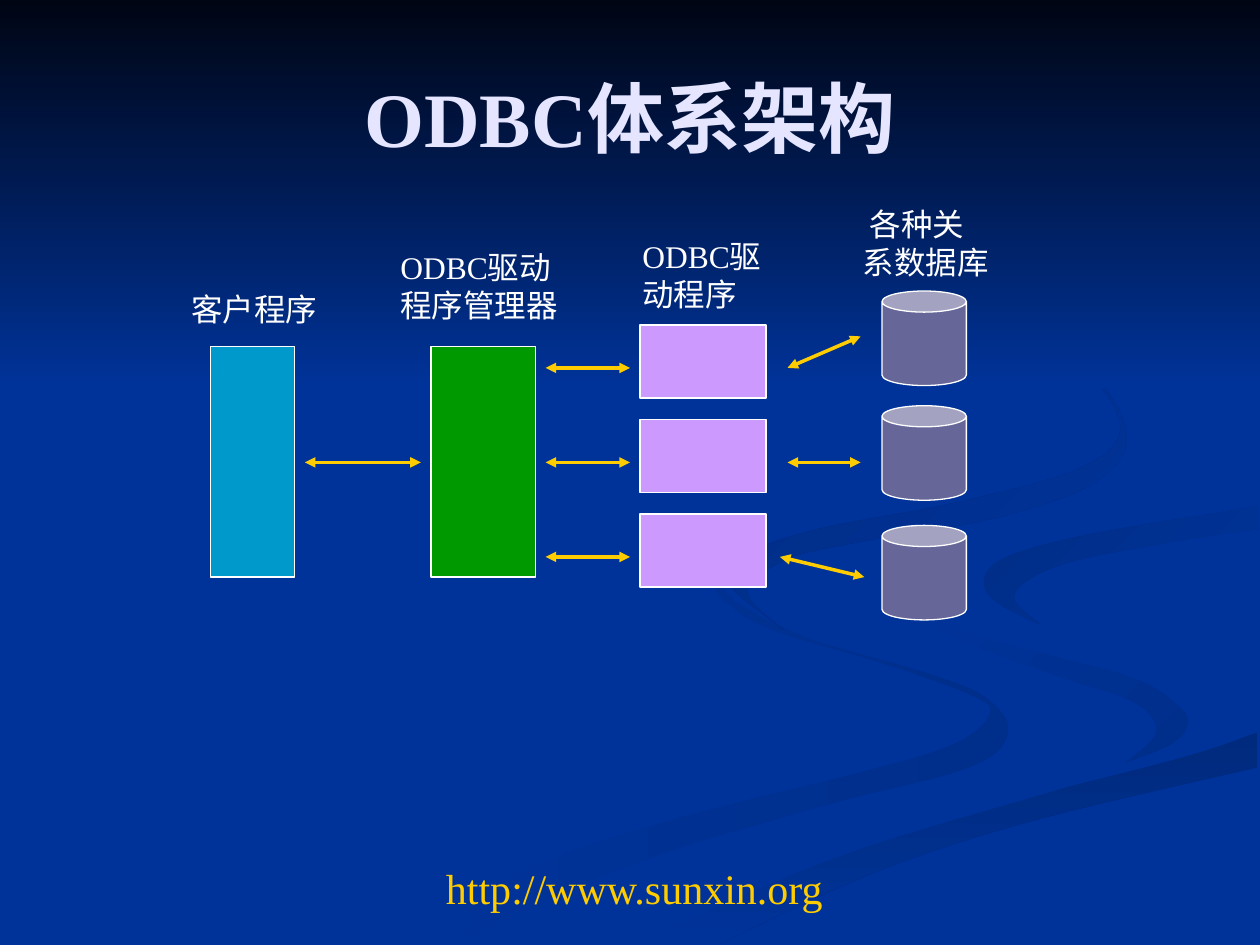
from dataclasses import dataclass
from itertools import chain

from lxml import etree
from pptx import Presentation
from pptx.dml.color import RGBColor
from pptx.enum.shapes import MSO_CONNECTOR, MSO_SHAPE
from pptx.enum.text import MSO_ANCHOR, PP_ALIGN
from pptx.oxml.ns import qn
from pptx.util import Inches, Pt

RECTANGLE = MSO_SHAPE.RECTANGLE
CAN = MSO_SHAPE.CAN
STRAIGHT = MSO_CONNECTOR.STRAIGHT
LEFT = PP_ALIGN.LEFT
CENTER = PP_ALIGN.CENTER
TOP = MSO_ANCHOR.TOP
MIDDLE = MSO_ANCHOR.MIDDLE


@dataclass(frozen=True)
class Theme:
    font: str = "Times New Roman"
    background: str = "003399"
    night: str = "000514"
    lower_shade: str = "002E8B"
    bank_shade: str = "002A7D"
    inlet_shade: str = "002D86"
    upper_shade: str = "002B82"
    title: str = "E5E5FF"
    text: str = "FFFFFF"
    accent: str = "FFCC00"
    client: str = "0099CC"
    manager: str = "009900"
    driver: str = "CC99FF"
    database: str = "666699"
    title_size: int = 44
    label_size: int = 18
    link_size: int = 24
    outline: float = 0.75
    arrow: float = 2


THEME = Theme()
CURVE_STEPS = 6

SLIDE_WIDTH, SLIDE_HEIGHT = 10, 7.5
SKY_HEIGHT = 3.08
TOWER_TOP, TOWER_HEIGHT = 2.75, 1.83
CLIENT_LEFT, CLIENT_WIDTH = 1.67, 0.67
MANAGER_LEFT, MANAGER_WIDTH = 3.42, 0.83
DRIVER_LEFT, DRIVER_TOP, DRIVER_WIDTH, DRIVER_HEIGHT = 5.08, 2.58, 1, 0.58
DATABASE_LEFT, DATABASE_WIDTH, DATABASE_HEIGHT = 7, 0.67, 0.75
ROW_PITCH = 0.75
FIRST_ARROW_Y = 2.92
ARROW_GAP = 0.08

DATABASE_TOPS = (2.31, 3.22, 4.17)
DATABASE_ARROWS = (
    (6.25, 2.92, 6.83, 2.67),
    (6.25, 3.67, 6.83, 3.67),
    (6.19, 4.42, 6.86, 4.58),
)
LABELS = (
    ("客户程序", 1.42, 2.25, 1.33, 0.4),
    ("ODBC驱动程序管理器", 3.08, 1.92, 1.58, 0.7),
    ("ODBC驱动程序", 5, 1.83, 1.33, 0.7),
    (" 各种关系数据库", 6.75, 1.58, 1.25, 0.7),
)

LOWER_STREAM = (
    ((3, 7.49), (4.17, 6.9), (5.39, 6.49), (6.84, 6.13), (7.59, 5.9), (7.86, 5.66),
     (7.7, 5.51), (6.97, 5.25), (6.11, 4.99), (5.7, 4.72), (5.75, 4.59)),
    ((5.75, 4.59), (5.83, 4.77), (6.42, 5.07), (7.31, 5.33), (7.81, 5.53), (8, 5.81),
     (7.69, 6.09), (6.51, 6.4), (4.99, 6.87), (3.61, 7.49)),
)
EAST_BEND = (
    ((7.24, 4.64), (7.58, 4.98), (8.3, 5.19), (9.05, 5.4), (9.43, 5.7), (9.32, 5.89),
     (8.94, 6.05)),
    ((8.94, 6.05), (9.18, 5.81), (9, 5.57), (8.38, 5.36), (7.46, 5), (7.24, 4.64)),
)
SOUTH_BANK = (
    ((5.03, 7.49), (6.3, 6.93), (7.64, 6.47), (9.36, 6.02), (9.98, 5.81)),
    ((9.98, 6.09), (8.21, 6.51), (6.95, 6.92), (5.71, 7.49)),
)
MAIN_STREAM = (
    ((9.99, 3.87), (8.51, 4.11), (7.55, 4.32), (7.25, 4.64), (7.59, 4.98), (8.31, 5.19),
     (9.05, 5.4), (9.43, 5.7), (9.11, 6), (7.8, 6.34), (6.19, 6.84), (4.77, 7.49)),
    ((5.03, 7.49), (6.62, 6.81), (8.32, 6.29), (9.99, 5.81)),
    ((9.99, 5.38), (8.48, 5.03), (7.81, 4.63), (8.5, 4.27), (9.99, 4.02)),
)
EAST_INLET = (
    ((9.98, 4.02), (8.65, 4.24), (7.99, 4.42), (7.81, 4.6), (7.91, 4.78), (8.26, 4.96)),
    ((8.26, 4.96), (8.05, 4.72), (8.43, 4.48), (9.36, 4.29), (9.98, 4.2)),
)
UPPER_STREAM = (
    ((7.62, 2.33), (8.46, 2.79), (8.89, 3.35), (8.61, 3.7), (7.63, 3.98), (6.49, 4.2),
     (5.89, 4.41), (5.77, 4.62), (6.22, 5)),
    ((6.22, 5), (5.93, 4.7), (6.24, 4.44), (6.83, 4.3), (7.86, 4.12), (8.67, 3.84),
     (8.94, 3.44), (8.54, 2.83), (7.62, 2.33)),
)
STREAMS = (
    (LOWER_STREAM, THEME.background, THEME.lower_shade, 0),
    (EAST_BEND, THEME.background, THEME.lower_shade, 45),
    (SOUTH_BANK, THEME.bank_shade, THEME.background, 90),
    (MAIN_STREAM, THEME.background, THEME.background, 0),
    (EAST_INLET, THEME.inlet_shade, THEME.background, 45),
    (UPPER_STREAM, THEME.upper_shade, THEME.background, 45),
)


def color(code):
    return RGBColor.from_string(code)


def catmull_rom(before, start, end, after, t):
    return 0.5 * (2 * start + (end - before) * t
                  + (2 * before - 5 * start + 4 * end - after) * t ** 2
                  + (3 * start - before - 3 * end + after) * t ** 3)


def smooth(bank):
    padded = (bank[0], *bank, bank[-1])
    curve = []
    for knots in zip(padded, padded[1:], padded[2:], padded[3:]):
        for step in range(CURVE_STEPS):
            curve.append(tuple(catmull_rom(*axis, step / CURVE_STEPS) for axis in zip(*knots)))
    return curve + [bank[-1]]


def paint(shape, start, end, clockwise):
    shape.shadow.inherit = False
    shape.line.fill.background()
    if start == end:
        shape.fill.solid()
        shape.fill.fore_color.rgb = color(start)
        return
    shape.fill.gradient()
    shape.fill.gradient_angle = (360 - clockwise) % 360
    for stop, code, position in zip(shape.fill.gradient_stops, (start, end), (0, 1)):
        stop.color.rgb = color(code)
        stop.position = position


def add_stream(slide, banks, start, end, clockwise):
    outline = chain.from_iterable(smooth(bank) for bank in banks)
    points = [(Inches(x), Inches(y)) for x, y in outline]
    builder = slide.shapes.build_freeform(*points[0])
    builder.add_line_segments(points[1:], close=True)
    paint(builder.convert_to_shape(), start, end, clockwise)


def add_node(slide, kind, left, top, width, height, fill):
    node = slide.shapes.add_shape(kind, Inches(left), Inches(top), Inches(width), Inches(height))
    node.shadow.inherit = False
    node.fill.solid()
    node.fill.fore_color.rgb = color(fill)
    node.line.color.rgb = color(THEME.text)
    node.line.width = Pt(THEME.outline)


def add_text(slide, words, left, top, width, height, size=THEME.label_size,
             ink=THEME.text, align=LEFT, anchor=TOP, bold=False):
    box = slide.shapes.add_textbox(Inches(left), Inches(top), Inches(width), Inches(height))
    frame = box.text_frame
    frame.word_wrap = True
    frame.vertical_anchor = anchor
    frame.paragraphs[0].alignment = align
    run = frame.paragraphs[0].add_run()
    run.text = words
    run.font.name = THEME.font
    run.font.size = Pt(size)
    run.font.bold = bold
    run.font.color.rgb = color(ink)


def add_double_arrow(slide, x1, y1, x2, y2):
    arrow = slide.shapes.add_connector(STRAIGHT, Inches(x1), Inches(y1), Inches(x2), Inches(y2))
    arrow.line.color.rgb = color(THEME.accent)
    arrow.line.width = Pt(THEME.arrow)
    line = arrow.line._get_or_add_ln()
    for end in ("a:headEnd", "a:tailEnd"):
        etree.SubElement(line, qn(end), type="triangle")
    etree.SubElement(arrow._element.spPr, qn("a:effectLst"))


def add_level_arrow(slide, left_edge, right_edge, y):
    add_double_arrow(slide, left_edge + ARROW_GAP, y, right_edge - ARROW_GAP, y)


def add_backdrop(slide):
    slide.background.fill.solid()
    slide.background.fill.fore_color.rgb = color(THEME.background)
    for stream in STREAMS:
        add_stream(slide, *stream)
    sky = slide.shapes.add_shape(RECTANGLE, 0, 0, Inches(SLIDE_WIDTH), Inches(SKY_HEIGHT))
    paint(sky, THEME.night, THEME.background, 90)


def add_architecture(slide):
    client_right = CLIENT_LEFT + CLIENT_WIDTH
    manager_right = MANAGER_LEFT + MANAGER_WIDTH
    add_node(slide, RECTANGLE, CLIENT_LEFT, TOWER_TOP, CLIENT_WIDTH, TOWER_HEIGHT, THEME.client)
    add_node(slide, RECTANGLE, MANAGER_LEFT, TOWER_TOP, MANAGER_WIDTH, TOWER_HEIGHT, THEME.manager)
    add_level_arrow(slide, client_right, MANAGER_LEFT, FIRST_ARROW_Y + ROW_PITCH)
    for row, (database_top, database_arrow) in enumerate(zip(DATABASE_TOPS, DATABASE_ARROWS)):
        drop = row * ROW_PITCH
        add_node(slide, RECTANGLE, DRIVER_LEFT, DRIVER_TOP + drop, DRIVER_WIDTH, DRIVER_HEIGHT,
                 THEME.driver)
        add_node(slide, CAN, DATABASE_LEFT, database_top, DATABASE_WIDTH, DATABASE_HEIGHT,
                 THEME.database)
        add_level_arrow(slide, manager_right, DRIVER_LEFT, FIRST_ARROW_Y + drop)
        add_double_arrow(slide, *database_arrow)
    for label in LABELS:
        add_text(slide, *label)


def main():
    deck = Presentation()
    deck.slide_width, deck.slide_height = Inches(SLIDE_WIDTH), Inches(SLIDE_HEIGHT)
    slide = deck.slides.add_slide(deck.slide_layouts[6])
    add_backdrop(slide)
    add_text(slide, "ODBC体系架构", 0.5, 0.3, 9, 1.25, THEME.title_size,
             THEME.title, CENTER, MIDDLE, True)
    add_architecture(slide)
    add_text(slide, "http://www.sunxin.org", 1.77, 6.8, 6.53, 0.5,
             THEME.link_size, THEME.accent, CENTER)
    deck.save("out.pptx")


if __name__ == "__main__":
    main()
